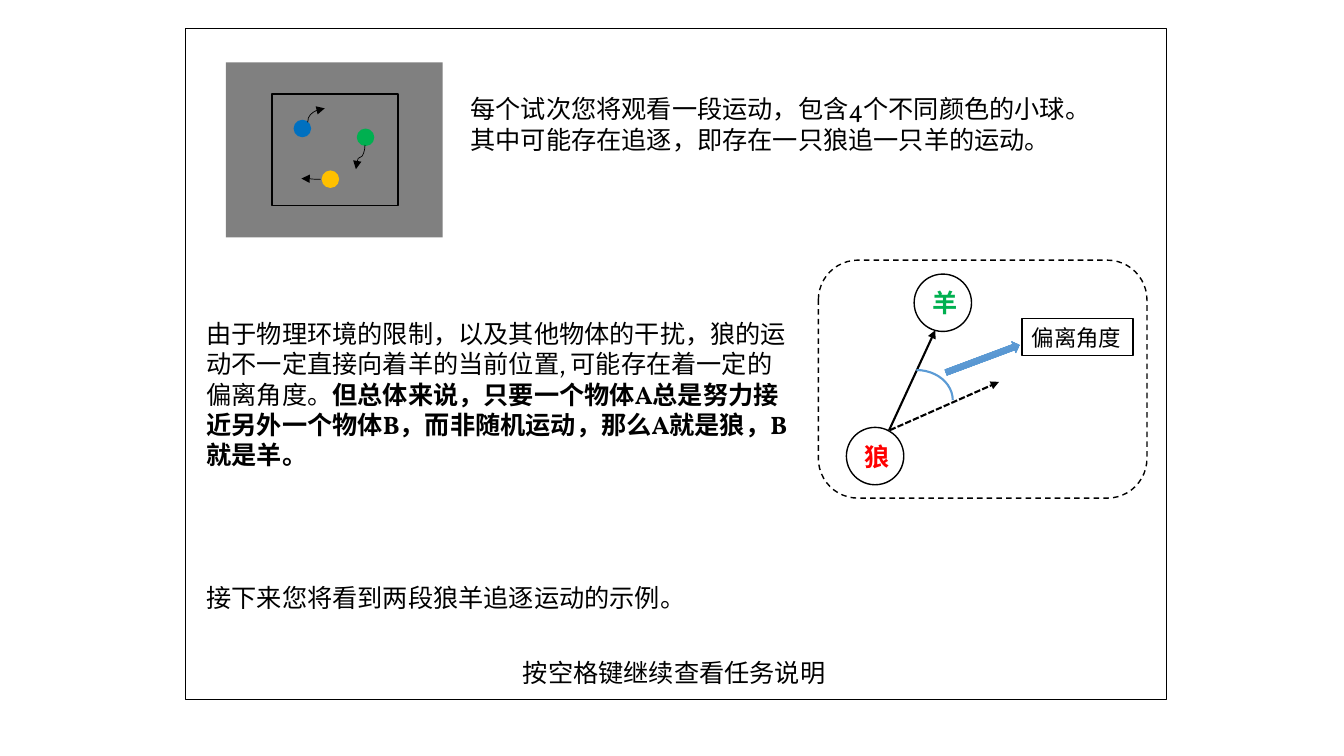
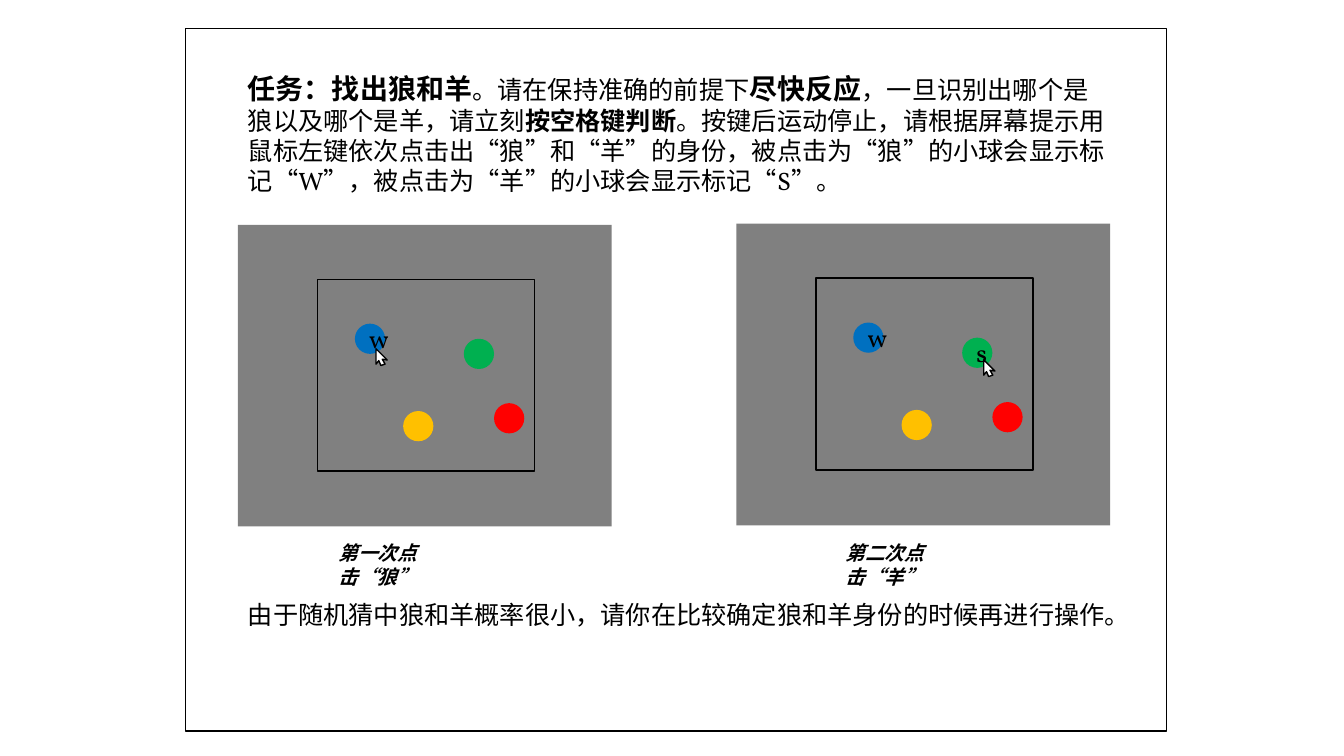
from lxml import etree
from pptx import Presentation
from pptx.dml.color import RGBColor
from pptx.enum import dml, lang, shapes, text
from pptx.oxml import ns
from pptx.util import Pt

FONT = "Vollkorn"
BLACK, WHITE, GREY = "000000", "FFFFFF", "808080"
BLUE, GOLD, GREEN, RED = "0070C0", "FFC000", "00B050", "FF0000"
SKY, PALE, DEEP = "5B9BD5", "71A6DB", "448ACA"
KIND, LINK, DASH = shapes.MSO_SHAPE, shapes.MSO_CONNECTOR, dml.MSO_LINE
MID = text.PP_ALIGN.CENTER
FIELD = (267, 215.5)
BALL = 21.6
BALLS = {BLUE: (83.5, 70.6), GOLD: (118, 133), GREEN: (161.3, 81.4), RED: (182.9, 127.4)}
HAND = [(8, 8), (4.5, 7.5), (6.5, 11), (3.5, 12), (2, 8.5), (0, 11)]


def tint(code):
    """Turn a hex string into a colour."""
    return RGBColor.from_string(code)


def add(node, tag, **attrs):
    """Append a drawing element to a node."""
    return etree.SubElement(node, ns.qn(tag), **attrs)


def style(item, fill=None, line=None, width=1, dash=None):
    """Set the fill and outline of a shape."""
    item.shadow.inherit = False
    if fill:
        item.fill.solid()
        item.fill.fore_color.rgb = tint(fill)
    else:
        item.fill.background()
    if line:
        item.line.color.rgb = tint(line)
        item.line.width = Pt(width)
        if dash:
            item.line.dash_style = dash
    else:
        item.line.fill.background()
    return item


def shape(slide, kind, box, **look):
    """Add a preset shape in a box of points."""
    return style(slide.shapes.add_shape(kind, *map(Pt, box)), **look)


def write(frame, paras, align=text.PP_ALIGN.LEFT):
    """Fill a text frame with paragraphs of (text, size, bold, colour, italic) runs."""
    for i, runs in enumerate(paras):
        para = frame.add_paragraph() if i else frame.paragraphs[0]
        para.alignment = align
        para.line_spacing = Pt(1.2 * runs[-1][1])
        for words, size, bold, hue, slant in runs:
            run = para.add_run()
            run.text = words
            font = run.font
            font.name, font.size = FONT, Pt(size)
            font.bold, font.italic = bold, slant
            font.color.rgb = tint(hue)
            font.language_id = lang.MSO_LANGUAGE_ID.SIMPLIFIED_CHINESE


def bit(words, size=18, bold=False, hue=BLACK, slant=False):
    """Describe one run."""
    return words, size, bold, hue, slant


def note(slide, box, *paras, wrap=True):
    """Add a text box."""
    frame = slide.shapes.add_textbox(*map(Pt, box)).text_frame
    frame.word_wrap = wrap
    write(frame, paras)


def arrow(slide, start, end, kind=LINK.STRAIGHT, width=1.5, dash=None):
    """Add a connector with an arrowhead at its end."""
    wire = slide.shapes.add_connector(kind, *map(Pt, start + end))
    wire.line.color.rgb = tint(BLACK)
    wire.line.width = Pt(width)
    if dash:
        wire.line.dash_style = dash
    add(wire.line._get_or_add_ln(), "a:tailEnd", type="triangle")
    add(wire._element.spPr, "a:effectLst")
    return wire


def bend(slide, start, end, form="curvedConnector3"):
    """Add a curved arrow that leaves its start vertically."""
    mx, my = (start[0] + end[0]) / 2, (start[1] + end[1]) / 2
    dx, dy = (end[0] - start[0]) / 2, (end[1] - start[1]) / 2
    wire = arrow(slide, (mx - dy, my + dx), (mx + dy, my - dx), LINK.CURVE, 0.5)
    prop = wire._element.spPr
    prop.find(ns.qn("a:xfrm")).set("rot", "5400000")
    prop.find(ns.qn("a:prstGeom")).set("prst", form)


def field(slide, x, y, scale, hues, marks):
    """Draw the grey screen with its arena and coloured balls."""
    def part(kind, left, top, wide, high, **look):
        box = x + left * scale, y + top * scale, wide * scale, high * scale
        return shape(slide, kind, box, **look)

    part(KIND.RECTANGLE, 0, 0, *FIELD, fill=GREY)
    part(KIND.RECTANGLE, 56.9, 38.9, 155, 137, line=BLACK)
    for hue in hues:
        ball = part(KIND.OVAL, *BALLS[hue], BALL, BALL, fill=hue)
        if hue in marks:
            write(ball.text_frame, [[bit(marks[hue])]], MID)


def paths(slide, x, y):
    """Draw the motion arrows of the small screen."""
    bend(slide, (x + 99.4, y + 59), (x + 92.9, y + 76.3))
    arrow(slide, (x + 67.7, y + 83.5), (x + 54, y + 83), LINK.CURVE, 0.5)
    bend(slide, (x + 58.5, y + 42.8), (x + 70.7, y + 32.8), "curvedConnector2")


def angle(slide, x, y, wide, high):
    """Draw the diagram of the deviation angle."""
    for word, hue, left, top in (("狼", RED, 20, 119.5), ("羊", GREEN, 68.4, 10)):
        disc = shape(slide, KIND.OVAL, (x + left, y + top, 41, 41), fill=WHITE, line=BLACK)
        write(disc.text_frame, [[bit(word, bold=True, hue=hue)]], MID)
    arrow(slide, (x + 50.5, y + 121.5), (x + 83.5, y + 50))
    arrow(slide, (x + 51, y + 121.5), (x + 129, y + 87), dash=DASH.SQUARE_DOT)
    shape(slide, KIND.ARC, (x + 44, y + 78.5, 52, 43), line=SKY, width=1.5)
    hint = shape(slide, KIND.RIGHT_ARROW, (x + 89.3, y + 66.2, 56, 8.6), line=SKY, width=0.5)
    hint.rotation = 339.5
    hint.fill.gradient()
    hint.fill.gradient_angle = 270
    for stop, hue in zip(hint.fill.gradient_stops, (PALE, DEEP)):
        stop.color.rgb = tint(hue)
    tag = shape(slide, KIND.RECTANGLE, (x + 145.5, y + 41.8, 79.2, 26.6), fill=WHITE, line=BLACK)
    tag.text_frame.word_wrap = False
    write(tag.text_frame, [[bit("偏离角度", 16)]])
    rim = (x, y, wide, high)
    shape(slide, KIND.ROUNDED_RECTANGLE, rim, line=BLACK, dash=DASH.DASH)


def hand(slide, x, y):
    """Draw a mouse pointer with its tip at a point."""
    form = slide.shapes.build_freeform(Pt(x), Pt(y))
    form.add_line_segments([(Pt(x + dx), Pt(y + dy)) for dx, dy in HAND])
    style(form.convert_to_shape(), WHITE, BLACK)


def page(deck, high):
    """Add a blank slide with the black frame."""
    slide = deck.slides.add_slide(deck.slide_layouts[6])
    shape(slide, KIND.RECTANGLE, (132.5, 20.2, 700.6, high), line=BLACK)
    return slide


def intro(deck):
    """Build the slide that explains the chase."""
    slide = page(deck, 479.5)
    x, y = 161.3, 44.6
    field(slide, x, y, 0.58, (BLUE, GOLD, GREEN), {})
    paths(slide, x, y)
    note(slide, (329, 63.4, 494, 51),
         [bit("每个试次您将观看一段运动，包含4个不同颜色的小球。")],
         [bit("其中可能存在追逐，即存在一只狼追一只羊的运动。")])
    note(slide, (140.4, 224, 432, 138),
         [bit("由于物理环境的限制，以及其他物体的干扰，狼的运动不一定直接向着羊的当前位置, "
              "可能存在着一定的偏离角度。"),
          bit("但总体来说，只要一个物体A总是努力接近另外一个物体B，而非随机运动，"
              "那么A就是狼，B就是羊。", bold=True)])
    angle(slide, 584.6, 185.8, 234.7, 170)
    note(slide, (366.5, 465.8, 232.6, 29), [bit("按空格键继续查看任务说明")], wrap=False)
    note(slide, (140.4, 412.6, 679, 51), [bit("接下来您将看到两段狼羊追逐运动的示例。")])


def task(deck):
    """Build the slide that explains the task."""
    slide = page(deck, 502)
    note(slide, (170, 50, 631.4, 97),
         [bit("任务：找出狼和羊", 20, True), bit("。请在保持准确的前提下"),
          bit("尽快反应", 20, True), bit("，一旦识别出哪个是狼以及哪个是羊，请立刻"),
          bit("按空格键判断", bold=True),
          bit("。按键后运动停止，请根据屏幕提示用鼠标左键依次点击出“狼”和“羊”的身份，"
              "被点击为“狼”的小球会显示标记“W”，被点击为“羊”的小球会显示标记“S”。")])
    steps = (
        (170, 160.6, {BLUE: "w"}, (98.6, 88.5), 234.7, "第一次点击“狼”"),
        (526, 159.8, {BLUE: "w", GREEN: "s"}, (176.7, 97.2), 596.9, "第二次点击“羊”"),
    )
    for x, y, marks, tip, left, words in steps:
        field(slide, x, y, 1, BALLS, marks)
        hand(slide, x + tip[0], y + tip[1])
        note(slide, (left, 383, 111.6, 41), [bit(words, 14, True, slant=True)])
    note(slide, (170, 424.8, 640, 29),
         [bit("由于随机猜中狼和羊概率很小，请你在比较确定狼和羊身份的时候再进行操作。")])


def main():
    """Build and save the deck."""
    deck = Presentation()
    deck.slide_width, deck.slide_height = Pt(960), Pt(540)
    intro(deck)
    task(deck)
    deck.save("out.pptx")


if __name__ == "__main__":
    main()
